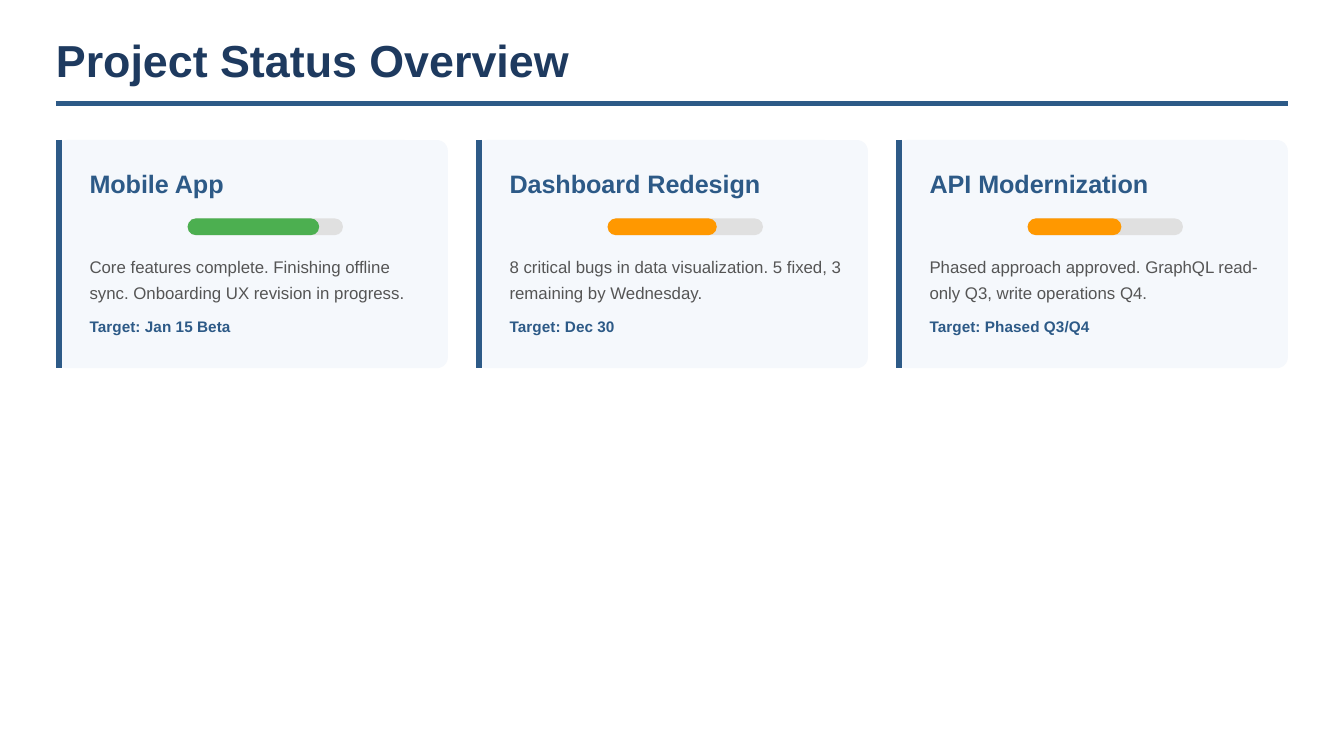
from dataclasses import dataclass

from lxml import etree
from pptx import Presentation
from pptx.dml.color import RGBColor
from pptx.enum.shapes import MSO_CONNECTOR, MSO_SHAPE
from pptx.oxml.ns import qn
from pptx.util import Pt

ROUNDED = MSO_SHAPE.ROUNDED_RECTANGLE
STRAIGHT = MSO_CONNECTOR.STRAIGHT

PX = 9525  # EMU per px, 96 px to the inch
FONT = "Arial"
NAVY, BLUE, GREY = "1E3A5F", "2D5A87", "555555"
CARD_FILL, TRACK = "F5F8FC", "E0E0E0"
GREEN, ORANGE = "4CAF50", "FF9800"

# Layout in px
MARGIN = 40
CONTENT_W = 880
CARD_TOP, CARD_W, CARD_H, CARD_GAP = 100, 280, 163, 20
CORNER = 8
TEXT_INSET, TEXT_W = 24, 241
BAR_INSET, BAR_TOP, BAR_W, BAR_H = 94, 156, 111, 12


@dataclass
class Project:
    name: str
    percent: int
    status_color: str
    summary: str
    target: str


@dataclass
class TextStyle:
    size: float
    leading: float
    color: str
    bold: bool = True


TITLE = TextStyle(24, 24, NAVY)
HEADING = TextStyle(13.5, 16.2, BLUE)
SUMMARY = TextStyle(9, 13.5, GREY, bold=False)
TARGET = TextStyle(8.25, 11.55, BLUE)

PROJECTS = [
    Project("Mobile App", 85, GREEN,
            "Core features complete. Finishing offline sync. "
            "Onboarding UX revision in progress.",
            "Target: Jan 15 Beta"),
    Project("Dashboard Redesign", 70, ORANGE,
            "8 critical bugs in data visualization. 5 fixed, 3 remaining by Wednesday.",
            "Target: Dec 30"),
    Project("API Modernization", 60, ORANGE,
            "Phased approach approved. GraphQL read-only Q3, write operations Q4.",
            "Target: Phased Q3/Q4"),
]


def rgb(color: str) -> RGBColor:
    return RGBColor.from_string(color)


def emu(*lengths: int) -> list[int]:
    return [length * PX for length in lengths]


def add_text(slide, left: int, top: int, width: int, height: int,
             text: str, style: TextStyle) -> None:
    frame = slide.shapes.add_textbox(*emu(left, top, width, height)).text_frame
    frame.margin_left = frame.margin_top = frame.margin_right = frame.margin_bottom = 0
    frame.word_wrap = True
    frame.text = text
    paragraph = frame.paragraphs[0]
    paragraph.line_spacing = Pt(style.leading)
    font = paragraph.runs[0].font
    font.name, font.size, font.bold = FONT, Pt(style.size), style.bold
    font.color.rgb = rgb(style.color)


def add_rounded(slide, left: int, top: int, width: int, height: int,
                radius: int, color: str) -> None:
    shape = slide.shapes.add_shape(ROUNDED, *emu(left, top, width, height))
    shape.adjustments[0] = radius / min(width, height)
    shape.fill.solid()
    shape.fill.fore_color.rgb = rgb(color)
    shape.line.fill.background()
    shape.shadow.inherit = False


def add_line(slide, x1: int, y1: int, x2: int, y2: int, weight: float) -> None:
    line = slide.shapes.add_connector(STRAIGHT, *emu(x1, y1, x2, y2))
    line.line.color.rgb = rgb(BLUE)
    line.line.width = Pt(weight)
    etree.SubElement(line._element.spPr, qn("a:effectLst"))


def add_card(slide, left: int, project: Project) -> None:
    # Panel and accent edge
    add_rounded(slide, left, CARD_TOP, CARD_W, CARD_H, CORNER, CARD_FILL)
    add_line(slide, left + 2, CARD_TOP, left + 2, CARD_TOP + CARD_H, 3)

    text_left = left + TEXT_INSET
    add_text(slide, text_left, 120, TEXT_W, 21, project.name, HEADING)

    # Progress bar: track, then completed part
    done = round(BAR_W * project.percent / 100)
    for width, color in ((BAR_W, TRACK), (done, project.status_color)):
        add_rounded(slide, left + BAR_INSET, BAR_TOP, width, BAR_H, BAR_H // 2, color)

    add_text(slide, text_left, 180, TEXT_W, 36, project.summary, SUMMARY)
    add_text(slide, text_left, 224, TEXT_W, 15, project.target, TARGET)


def main() -> None:
    deck = Presentation()
    deck.slide_width, deck.slide_height = emu(960, 540)
    slide = deck.slides.add_slide(deck.slide_layouts[6])

    # Header
    add_line(slide, MARGIN, 74, MARGIN + CONTENT_W, 74, 2.25)
    add_text(slide, MARGIN, 30, 450, 32, "Project Status Overview", TITLE)

    # Project cards
    for column, project in enumerate(PROJECTS):
        add_card(slide, MARGIN + column * (CARD_W + CARD_GAP), project)

    deck.save("out.pptx")


if __name__ == "__main__":
    main()
